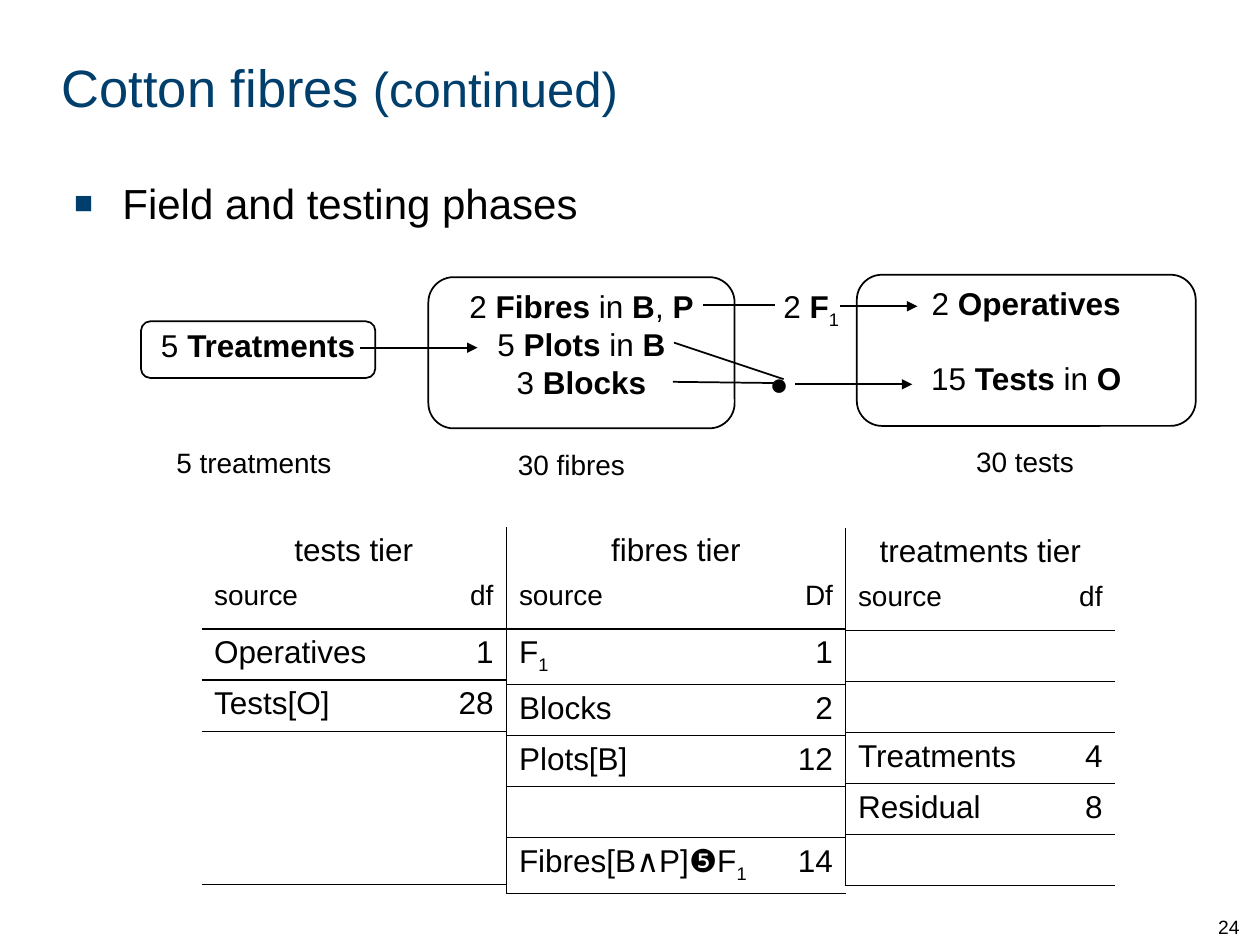
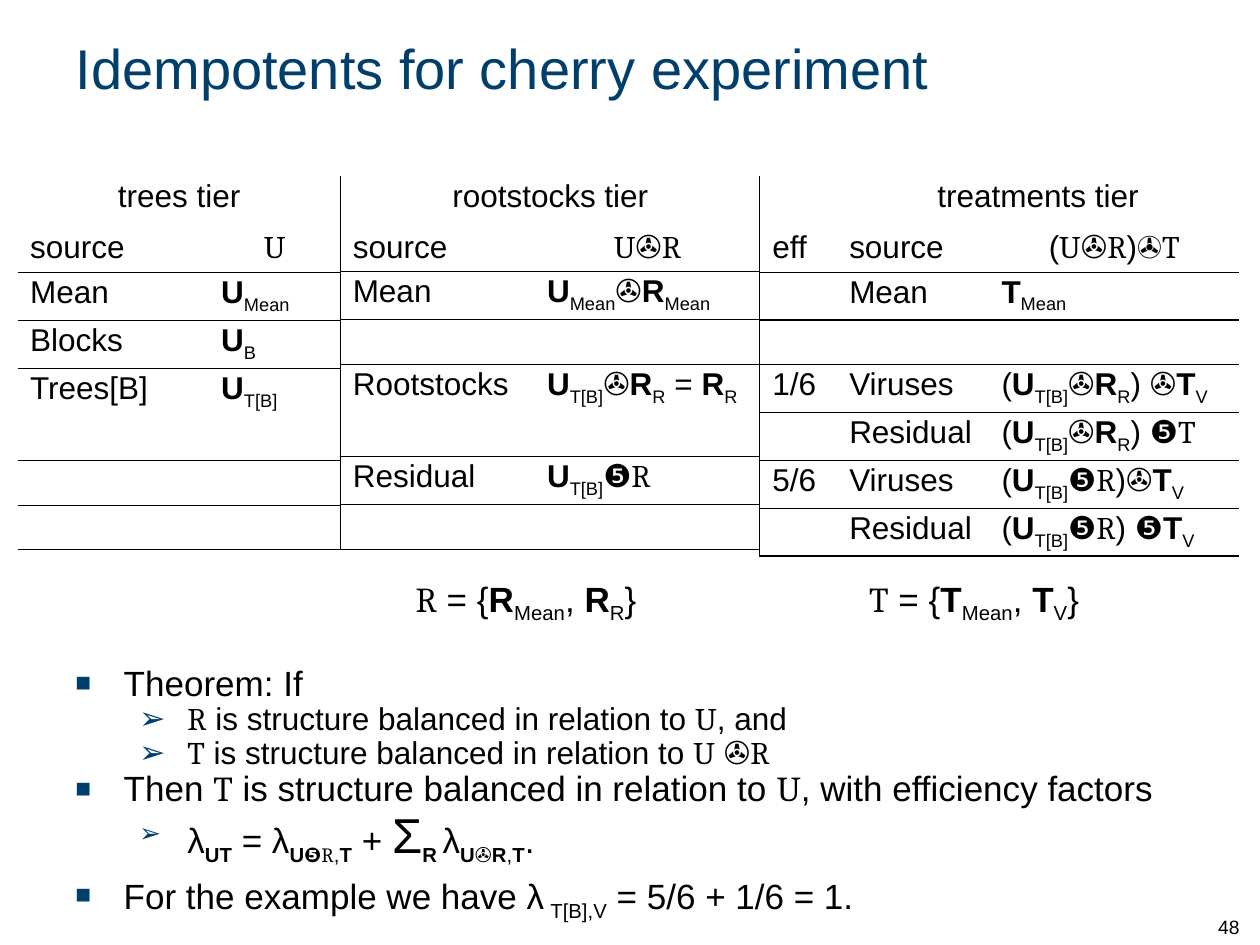
from lxml import etree
from pptx import Presentation
from pptx.dml.color import RGBColor
from pptx.enum.shapes import MSO_CONNECTOR, MSO_SHAPE
from pptx.enum.text import MSO_ANCHOR, MSO_AUTO_SIZE, PP_ALIGN
from pptx.oxml.ns import qn
from pptx.util import Pt

NAVY, BLACK = "003E6C", "000000"
SANS, SERIF = "Arial", "Cambria"
BIG = 28
NO_STYLE = "{2D5ABB26-0587-4C30-8999-92F81FD0307C}"
LEFT, CENTER, RIGHT = PP_ALIGN.LEFT, PP_ALIGN.CENTER, PP_ALIGN.RIGHT

# Text marks switch a style on and off: *bold* _subscript_ ~serif~ ^28 pt^

# Rounded boxes: left, top, width, height, gap between lines, lines
FACTOR_BOXES = [
    (80.6, 183.6, 133.9, 32.4, 0, ["5 *Treatments*"]),
    (244.8, 158.4, 175, 86.4, 0,
     ["2 *Fibres* in *B*, *P*", "5 *Plots* in *B*", "3 *Blocks*"]),
    (489.6, 157, 193.7, 86.4, 20.7, ["2 *Operatives*", "15 *Tests* in *O*"]),
]
# Captions: left, top, text
CAPTIONS = [(85.7, 251.3, "5 treatments"), (267.1, 252, "30 fibres"), (526.3, 250.6, "30 tests")]
# Lines: from x, y, to x, y, arrowhead
LINKS = [
    (205.9, 198.7, 272.9, 198.7, True),
    (401.8, 174.2, 442.8, 174.2, False),
    (480.2, 175, 524.2, 175, True),
    (385.2, 195.8, 447.8, 216.7, False),
    (384.5, 218.2, 444.2, 218.9, False),
    (454.3, 219.6, 521.3, 219.6, True),
]
# Tiers: left, top, column widths, rows with a rule below, rows of text
COTTON_TIERS = [
    (115.2, 301, (130, 44), {1, 2, 3, 6}, [
        ["tests tier"], ["source", "df"], ["Operatives", "1"], ["Tests[O]", "28"],
        [], [], []]),
    (289.4, 301, (149.8, 44), {1, 2, 3, 4, 5, 6}, [
        ["fibres tier"], ["source", "Df"], ["F_1_", "1"], ["Blocks", "2"],
        ["Plots[B]", "12"], [], ["Fibres[B∧P]❺F_1_", "14"]]),
    (483.1, 301.7, (115.2, 38.9), {1, 2, 3, 4, 5, 6}, [
        ["treatments tier"], ["source", "df"], [], [], ["Treatments", "4"],
        ["Residual", "8"], []]),
]
CHERRY_TIERS = [
    (10, 101, (109.2, 75.6), {1, 2, 3, 5, 6, 7}, [
        ["trees tier"], ["source", "~U~"], ["Mean", "*U*_Mean_"], ["Blocks", "*U*_B_"],
        ["Trees[B]", "*U*_T[B]_"], [], [], []]),
    (194.4, 100.6, (111, 129.2), {1, 2, 3, 5, 6, 7}, [
        ["rootstocks tier"], ["source", "~U~✇~R~"], ["Mean", "*U*_Mean_✇*R*_Mean_"], [],
        ["Rootstocks", "*U*_T[B]_✇*R*_R_ = *R*_R_"], [],
        ["Residual", "*U*_T[B]_❺~R~"], []]),
    (434.2, 100.8, (43.9, 87, 143.2), {1, 2, 3, 4, 5, 6, 7}, [
        ["", "treatments tier"], ["eff", "source", "(~U~✇~R~)~✇T~"],
        ["", "Mean", "*T*_Mean_"], [],
        ["1/6", "Viruses", "(*U*_T[B]_✇*R*_R_) ✇*T*_V_"],
        ["", "Residual", "(*U*_T[B]_✇*R*_R_) ❺~T~"],
        ["5/6", "Viruses", "(*U*_T[B]_❺~R~)✇*T*_V_"],
        ["", "Residual", "(*U*_T[B]_❺~R~) ❺*T*_V_"]]),
]
# Structures: left, width, text
STRUCTURES = [
    (230.4, 175.7, "~R~ = {*R*_Mean_, *R*_R_}"),
    (489.6, 154.8, "~T~ = {*T*_Mean_, *T*_V_}"),
]
# Bullets: level, size, line spacing, space before, bullet percent, text
COTTON_BULLETS = [(0, 24, 0.8, 0, 75, "Field and testing phases")]
THEOREM_BULLETS = [
    (0, 20, 1, 0, 75, "Theorem: If"),
    (1, 18, 0.9, 0, 100, "~R~ is structure balanced in relation to ~U~, and"),
    (1, 18, 0.9, 0, 100, "~T~ is structure balanced in relation to ~U~ ✇~R~"),
    (0, 20, 0.9, 0, 75,
     "Then ~T~ is structure balanced in relation to ~U~, with efficiency factors"),
    (1, 20, 0.9, 0, 75, "λ_*UT*_ = λ_*U❺*~R~,*T*_ + ^Σ^_*R *_λ_*U✇R*,*T*_."),
    (0, 20, 0.9, 6, 75, "For the example we have λ_ T[B],V_ = 5/6 + 1/6 = 1."),
]


def rgb(color):
    return RGBColor.from_string(color)


def add_xml(parent, tag, **attrs):
    return etree.SubElement(parent, qn(tag), {k: str(v) for k, v in attrs.items()})


def add_runs(p, text, size, color=BLACK):
    """Add the marked text as runs, one for each change of style."""
    on, chunk = set(), ""

    def flush():
        if not chunk:
            return
        r = p.add_run()
        r.text = chunk
        r.font.name = SERIF if "~" in on else SANS
        r.font.size = Pt(BIG if "^" in on else size)
        r.font.bold = "*" in on
        r.font.color.rgb = rgb(color)
        if "_" in on:
            r.font._element.set("baseline", "-25000")

    for char in text:
        if char in "*_~^":
            flush()
            on ^= {char}
            chunk = ""
        else:
            chunk += char
    flush()


def write(tf, lines, size, align=LEFT, gap=0):
    for i, line in enumerate(lines):
        p = tf.add_paragraph() if i else tf.paragraphs[0]
        p.alignment = align
        if i and gap:
            p.space_before = Pt(gap)
        add_runs(p, line, size)


def add_box(slide, left, top, width, height, wrap=True):
    sp = slide.shapes.add_textbox(Pt(left), Pt(top), Pt(width), Pt(height))
    sp.text_frame.word_wrap = wrap
    return sp.text_frame


def add_slide(prs, number, title, size, frame):
    slide = prs.slides.add_slide(prs.slide_layouts[5])
    sp = slide.shapes.title
    sp.left, sp.top, sp.width, sp.height = map(Pt, frame)
    tf = sp.text_frame
    tf.auto_size = MSO_AUTO_SIZE.NONE
    tf.vertical_anchor = MSO_ANCHOR.MIDDLE
    p = tf.paragraphs[0]
    p.alignment = LEFT
    add_runs(p, title, size, NAVY)
    tf = add_box(slide, 689, 504, 30.2, 36)
    tf.vertical_anchor = MSO_ANCHOR.BOTTOM
    write(tf, [str(number)], 11)
    return slide


def add_bullets(slide, frame, bullets):
    tf = add_box(slide, *frame)
    for i, (level, size, spacing, before, percent, text) in enumerate(bullets):
        p = tf.add_paragraph() if i else tf.paragraphs[0]
        p.level = level
        pPr = p._p.get_or_add_pPr()
        pPr.set("marL", str(Pt(64 if level else 27.6)))
        pPr.set("indent", str(-Pt(27.6)))
        add_xml(add_xml(pPr, "a:buClr"), "a:srgbClr", val=NAVY)
        add_xml(pPr, "a:buSzPct", val=percent * 1000)
        add_xml(pPr, "a:buFont", typeface=SANS)
        add_xml(pPr, "a:buChar", char="➢" if level else "■")
        p.line_spacing = spacing
        if before:
            p.space_before = Pt(before)
        add_runs(p, text, size)


def add_border(cell, tag):
    tcPr = cell._tc.get_or_add_tcPr()
    ln = etree.Element(qn(tag), w=str(Pt(0.75)))
    add_xml(add_xml(ln, "a:solidFill"), "a:srgbClr", val=BLACK)
    tcPr.insert(0, ln)


def add_tier(slide, tier, heights, margins, head_size, head_align, value_align, divided):
    """Add one tier as a table; a divided tier has a line down its left side."""
    left, top, widths, ruled, rows = tier
    shape = slide.shapes.add_table(len(rows), len(widths), Pt(left), Pt(top),
                                   Pt(sum(widths)), Pt(sum(heights)))
    table = shape.table
    table.first_row = table.horz_banding = False
    shape._element.find(".//" + qn("a:tableStyleId")).text = NO_STYLE
    last = len(widths) - 1
    for col, width in zip(table.columns, widths):
        col.width = Pt(width)
    for i, (texts, height, margin) in enumerate(zip(rows, heights, margins)):
        table.rows[i].height = Pt(height)
        texts = texts + [""] * (len(widths) - len(texts))
        for j, text in enumerate(texts):
            cell = table.cell(i, j)
            cell.margin_top = cell.margin_bottom = Pt(margin)
            cell.fill.background()
            if i in ruled:
                add_border(cell, "a:lnB")
            if divided and j == 0:
                add_border(cell, "a:lnL")
            if text:
                align = LEFT
                if i == 0:
                    align = CENTER
                elif j == last:
                    align = head_align if i == 1 else value_align
                write(cell.text_frame, [text], head_size if i == 1 else 18, align)
    table.cell(0, last - 1).merge(table.cell(0, last))


def add_factor_box(slide, left, top, width, height, gap, lines):
    sp = slide.shapes.add_shape(MSO_SHAPE.ROUNDED_RECTANGLE,
                                Pt(left), Pt(top), Pt(width), Pt(height))
    sp.shadow.inherit = False
    sp.fill.background()
    sp.line.color.rgb = rgb(BLACK)
    sp.line.width = Pt(1)
    tf = sp.text_frame
    tf.word_wrap = True
    tf.vertical_anchor = MSO_ANCHOR.TOP
    tf.margin_left = tf.margin_right = Pt(0.7)
    tf.margin_top = tf.margin_bottom = Pt(1.4)
    write(tf, lines, 18, CENTER, gap)


def add_link(slide, x1, y1, x2, y2, arrow):
    cx = slide.shapes.add_connector(MSO_CONNECTOR.STRAIGHT, Pt(x1), Pt(y1), Pt(x2), Pt(y2))
    cx.line.color.rgb = rgb(BLACK)
    cx.line.width = Pt(1)
    if arrow:
        add_xml(cx.line._get_or_add_ln(), "a:tailEnd", type="triangle")
    add_xml(cx._element.spPr, "a:effectLst")


def build_cotton(prs):
    slide = add_slide(prs, 24, "Cotton fibres^ (continued)^", 30, (28.1, 18.7, 697, 61.9))
    add_bullets(slide, (35.3, 103.7, 648, 34.6), COTTON_BULLETS)
    for box in FACTOR_BOXES:
        add_factor_box(slide, *box)
    for left, top, text in CAPTIONS:
        write(add_box(slide, left, top, 118.8, 26.6), [text], 16, CENTER)
    for link in LINKS:
        add_link(slide, *link)
    write(add_box(slide, 432.7, 204.5, 30.2, 28.8, wrap=False), ["●"], 18)
    write(add_box(slide, 440.6, 160.6, 48.2, 28.8), ["2 *F*_1_"], 18)
    for i, tier in enumerate(COTTON_TIERS):
        add_tier(slide, tier, [29.2] * 7, [3.6, 1.4] + [3.6] * 5, 16, RIGHT, RIGHT, i > 0)


def build_cherry(prs):
    slide = add_slide(prs, 48, "Idempotents for cherry experiment", 32, (36, 5.8, 648, 64.8))
    for i, tier in enumerate(CHERRY_TIERS):
        add_tier(slide, tier, [29.2] + [25.5] * 7, [1.4] * 8, 18, CENTER, LEFT, i > 0)
    for left, width, text in STRUCTURES:
        write(add_box(slide, left, 326.2, width, 32.4), [text], 20)
    add_bullets(slide, (36, 374.4, 658.8, 159), THEOREM_BULLETS)


def main():
    prs = Presentation()
    prs.slide_width, prs.slide_height = Pt(720), Pt(540)
    build_cotton(prs)
    build_cherry(prs)
    prs.save("out.pptx")


if __name__ == "__main__":
    main()
